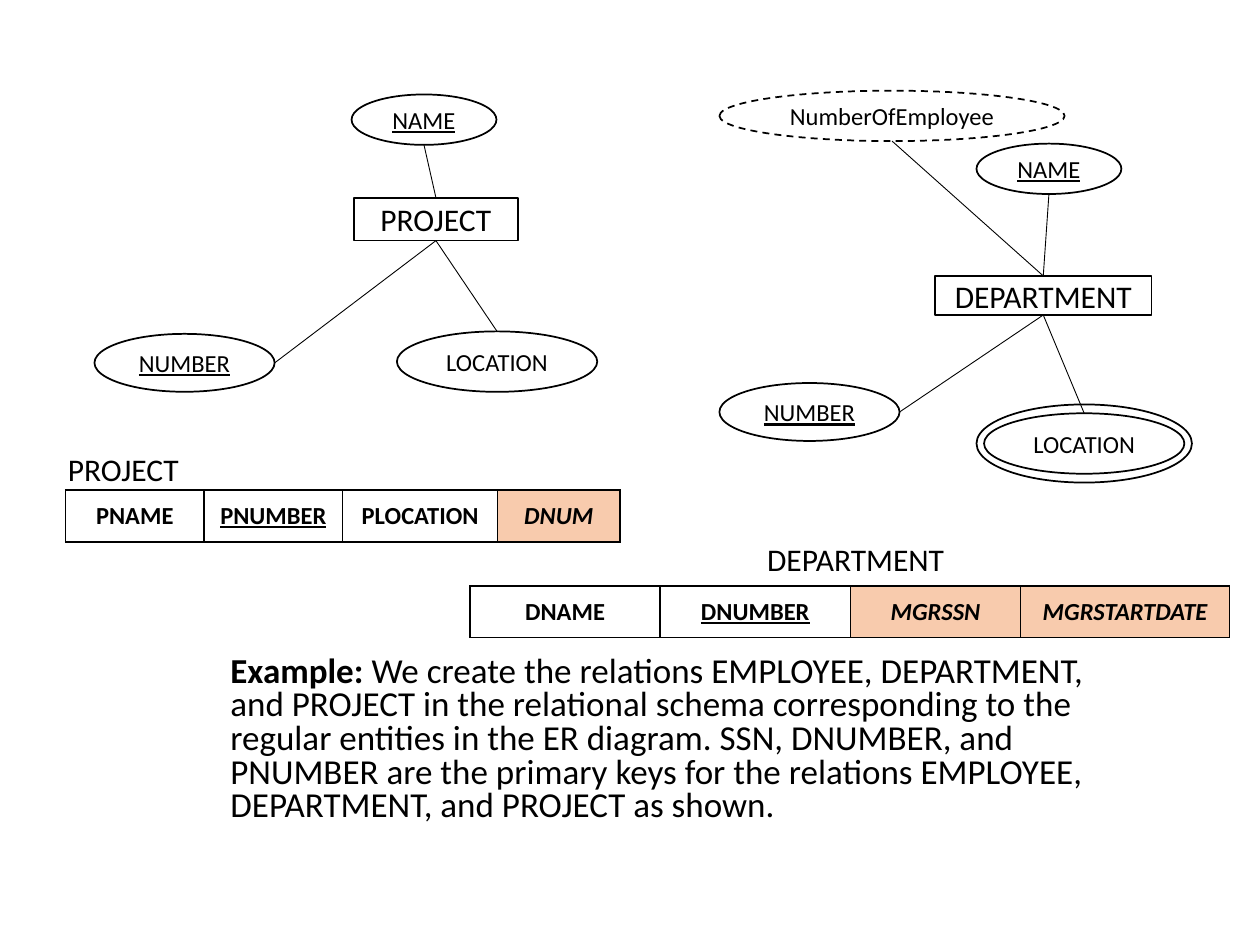
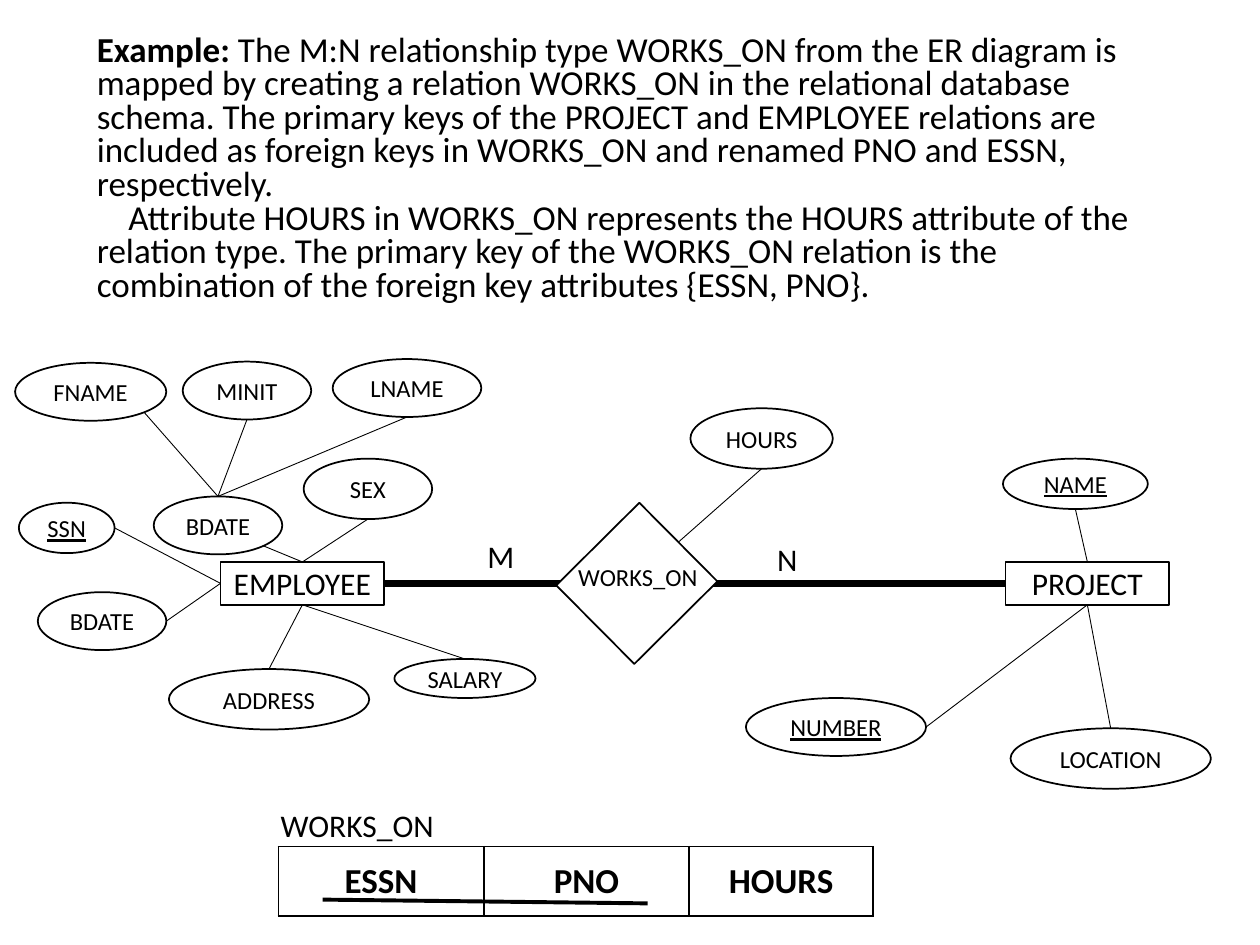
from dataclasses import dataclass
from math import cos, radians, sin, sqrt

from lxml.etree import SubElement
from pptx import Presentation
from pptx.dml.color import RGBColor
from pptx.enum.dml import MSO_LINE_DASH_STYLE as DASH
from pptx.enum.shapes import MSO_CONNECTOR, MSO_SHAPE
from pptx.enum.text import MSO_ANCHOR as ANCHOR, PP_ALIGN as ALIGN
from pptx.oxml import parse_xml
from pptx.oxml.ns import nsdecls, qn
from pptx.util import Inches, Pt


@dataclass(frozen=True)
class Theme:
    font: str = "Calibri"
    ink: str = "000000"
    paper: str = "FFFFFF"
    foreign: str = "F8CBAD"
    body: int = 20
    label: int = 18
    attribute: int = 14
    outline: float = 1
    link: float = 0.5
    key_line: float = 2.25
    relation: float = 4


T = Theme()
SIDES = {
    "top": (0, -1),
    "left": (-1, 0),
    "bottom": (0, 1),
    "right": (1, 0),
    "lower right": (sqrt(0.5), sqrt(0.5)),
}


def color(value):
    return RGBColor.from_string(value)


def add_run(p, text, size, **formats):
    r = p.add_run()
    r.text = text
    for name, value in {"name": T.font, "size": Pt(size), **formats}.items():
        setattr(r.font, name, value)
    r.font.color.rgb = color(T.ink)


def add_text(s, box, text, size=T.label):
    tf = s.shapes.add_textbox(*map(Inches, box)).text_frame
    tf.word_wrap = True
    add_run(tf.paragraphs[0], text, size)
    return tf


def add_example(s, box, paragraphs):
    tf = s.shapes.add_textbox(*map(Inches, box)).text_frame
    tf.word_wrap = True
    for i, text in enumerate(paragraphs):
        p = tf.add_paragraph() if i else tf.paragraphs[0]
        p.line_spacing = 0.8
        pPr = p._p.get_or_add_pPr()
        pPr.set("marL", str(Inches(0.5)))
        pPr.set("indent", str(Inches(0.25 if i else 0)))
        if not i:
            add_run(p, "Example:", T.body, bold=True)
            text = " " + text
        add_run(p, text, T.body)


def add_node(s, kind, box, text="", size=T.attribute, key=False,
             dash=None, fill=None, rotation=0):
    sp = s.shapes.add_shape(kind, *map(Inches, box))
    sp.shadow.inherit = False
    sp.rotation = rotation
    if fill:
        sp.fill.solid()
        sp.fill.fore_color.rgb = color(fill)
    else:
        sp.fill.background()
    sp.line.color.rgb = color(T.ink)
    sp.line.width = Pt(T.outline)
    if dash:
        sp.line.dash_style = dash
    if text:
        tf = sp.text_frame
        formats = {"word_wrap": False, "vertical_anchor": ANCHOR.MIDDLE,
                   "margin_left": 0, "margin_right": 0,
                   "margin_top": 0, "margin_bottom": 0}
        for name, value in formats.items():
            setattr(tf, name, value)
        p = tf.paragraphs[0]
        p.alignment = ALIGN.CENTER
        add_run(p, text, size, underline=key)
    return sp


def site(sp, side):
    dx, dy = SIDES[side]
    dx, dy = dx * sp.width / 2, dy * sp.height / 2
    a = radians(sp.rotation)
    return (int(sp.left + sp.width / 2 + dx * cos(a) - dy * sin(a)),
            int(sp.top + sp.height / 2 + dx * sin(a) + dy * cos(a)))


def add_line(s, start, end, width=T.link):
    line = s.shapes.add_connector(MSO_CONNECTOR.STRAIGHT, *start, *end)
    line.line.color.rgb = color(T.ink)
    line.line.width = Pt(width)
    SubElement(line._element.spPr, qn("a:effectLst"))


def add_attribute(s, owner, text, box, side, owner_side, **style):
    sp = add_node(s, MSO_SHAPE.OVAL, box, text, **style)
    add_line(s, site(sp, side), site(owner, owner_side))
    return sp


def add_entity(s, text, box):
    return add_node(s, MSO_SHAPE.RECTANGLE, box, text, T.label)


def add_project(s, x, y, location):
    project = add_entity(s, "PROJECT", (x, y, 1.3, 0.34))
    add_attribute(s, project, "NAME", (x - 0.02, y - 0.82, 1.15, 0.4),
                  "bottom", "top", key=True)
    add_attribute(s, project, "NUMBER", (x - 2.06, y + 1.08, 1.43, 0.46),
                  "right", "bottom", key=True)
    add_attribute(s, project, "LOCATION", (*location, 1.59, 0.48),
                  "top", "bottom")
    return project


def border_cell(cell):
    tcPr = cell._tc.get_or_add_tcPr()
    for edge in "LRTB":
        tcPr.append(parse_xml(
            f'<a:ln{edge} {nsdecls("a")} w="{Pt(T.outline)}"><a:solidFill>'
            f'<a:srgbClr val="{T.ink}"/></a:solidFill></a:ln{edge}>'))


def add_relation(s, left, top, height, widths, columns, size=T.attribute):
    shape = s.shapes.add_table(1, len(widths), Inches(left), Inches(top),
                               Inches(sum(widths)), Inches(height))
    table = shape.table
    table.first_row = table.horz_banding = False
    table.rows[0].height = Inches(height)
    for i, (width, (text, role)) in enumerate(zip(widths, columns)):
        table.columns[i].width = Inches(width)
        cell = table.cell(0, i)
        border_cell(cell)
        cell.fill.solid()
        cell.fill.fore_color.rgb = color(
            T.foreign if role == "foreign" else T.paper)
        cell.vertical_anchor = ANCHOR.MIDDLE
        p = cell.text_frame.paragraphs[0]
        p.alignment = ALIGN.CENTER
        add_run(p, text, size, bold=True, underline=role == "key",
                italic=role == "foreign")


def build_entities(s):
    add_relation(s, 0.52, 3.89, 0.41, (1.1, 1.1, 1.23, 0.97),
                 (("PNAME", ""), ("PNUMBER", "key"), ("PLOCATION", ""),
                  ("DNUM", "foreign")))
    add_text(s, (0.44, 3.52, 1.93, 0.4), "PROJECT")
    add_project(s, 2.81, 1.57, (3.15, 2.63))
    add_example(s, (1.23, 5.16, 7.71, 1.45), [
        "We create the relations EMPLOYEE, DEPARTMENT, and PROJECT in the "
        "relational schema corresponding to the regular entities in the ER "
        "diagram. SSN, DNUMBER, and PNUMBER are the primary keys for the "
        "relations EMPLOYEE, DEPARTMENT, and PROJECT as shown."])

    department = add_entity(s, "DEPARTMENT", (7.42, 2.19, 1.72, 0.31))
    add_attribute(s, department, "NAME", (7.75, 1.14, 1.15, 0.4),
                  "bottom", "top", key=True)
    add_attribute(s, department, "NUMBER", (5.71, 3.04, 1.43, 0.46),
                  "right", "bottom", key=True)
    add_attribute(s, department, "LOCATION", (7.81, 3.28, 1.59, 0.48),
                  "top", "bottom")
    add_node(s, MSO_SHAPE.OVAL, (7.75, 3.21, 1.71, 0.62))
    add_attribute(s, department, "NumberOfEmployee", (5.71, 0.72, 2.74, 0.4),
                  "bottom", "top", dash=DASH.DASH)
    add_relation(s, 3.73, 4.65, 0.41, (1.51, 1.51, 1.35, 1.66),
                 (("DNAME", ""), ("DNUMBER", "key"), ("MGRSSN", "foreign"),
                  ("MGRSTARTDATE", "foreign")))
    add_text(s, (5.99, 4.24, 1.93, 0.4), "DEPARTMENT")


def build_works_on(s):
    add_example(s, (0.17, 0.23, 9.14, 2.26), [
        "The M:N relationship type WORKS_ON from the ER diagram is mapped by "
        "creating a relation WORKS_ON in the relational database schema. The "
        "primary keys of the PROJECT and EMPLOYEE relations are included as "
        "foreign keys in WORKS_ON and renamed PNO and ESSN, respectively.",
        "Attribute HOURS in WORKS_ON represents the HOURS attribute of the "
        "relation type. The primary key of the WORKS_ON relation is the "
        "combination of the foreign key attributes {ESSN, PNO}."])
    add_relation(s, 2.21, 6.72, 0.55, (1.63, 1.63, 1.46),
                 (("ESSN", ""), ("PNO", ""), ("HOURS", "")), T.body)
    add_text(s, (2.13, 6.35, 1.93, 0.4), "WORKS_ON")
    add_line(s, map(Inches, (2.56, 7.14)), map(Inches, (5.14, 7.17)),
             T.key_line)
    add_text(s, (3.77, 4.21, 0.64, 0.4), "M")
    add_text(s, (6.07, 4.24, 0.71, 0.4), "N")

    employee = add_entity(s, "EMPLOYEE", (1.75, 4.46, 1.3, 0.34))
    add_attribute(s, employee, "SSN", (0.15, 3.99, 0.76, 0.4),
                  "right", "left", key=True)
    full_name = add_attribute(s, employee, "BDATE", (1.22, 3.94, 1.02, 0.46),
                              "lower right", "top")
    for owner, text, box, side, owner_side in (
            (employee, "BDATE", (0.3, 4.7, 1.02, 0.46), "right", "left"),
            (full_name, "LNAME", (2.64, 2.85, 1.18, 0.46), "bottom", "top"),
            (full_name, "MINIT", (1.45, 2.87, 1.02, 0.46), "bottom", "top"),
            (full_name, "FNAME", (0.12, 2.88, 1.2, 0.46),
             "lower right", "top"),
            (employee, "SEX", (2.41, 3.64, 1.02, 0.48), "bottom", "top"),
            (employee, "ADDRESS", (1.34, 5.31, 1.59, 0.48), "top", "bottom"),
            (employee, "SALARY", (3.13, 5.23, 1.12, 0.31), "top", "bottom")):
        add_attribute(s, owner, text, box, side, owner_side)

    project = add_project(s, 7.98, 4.46, (8.02, 5.78))
    add_line(s, site(employee, "right"), site(project, "left"), T.relation)
    works_on = add_node(s, MSO_SHAPE.RECTANGLE, (4.59, 4.19, 0.93, 0.88),
                        fill=T.paper, rotation=315.2)
    add_text(s, (4.49, 4.41, 1.19, 0.34), "WORKS_ON", T.attribute)
    add_attribute(s, works_on, "HOURS", (5.48, 3.24, 1.13, 0.48),
                  "bottom", "right")


def main():
    prs = Presentation()
    prs.slide_width, prs.slide_height = Inches(10), Inches(7.5)
    for build in (build_entities, build_works_on):
        build(prs.slides.add_slide(prs.slide_layouts[6]))
    prs.save("out.pptx")


if __name__ == "__main__":
    main()
